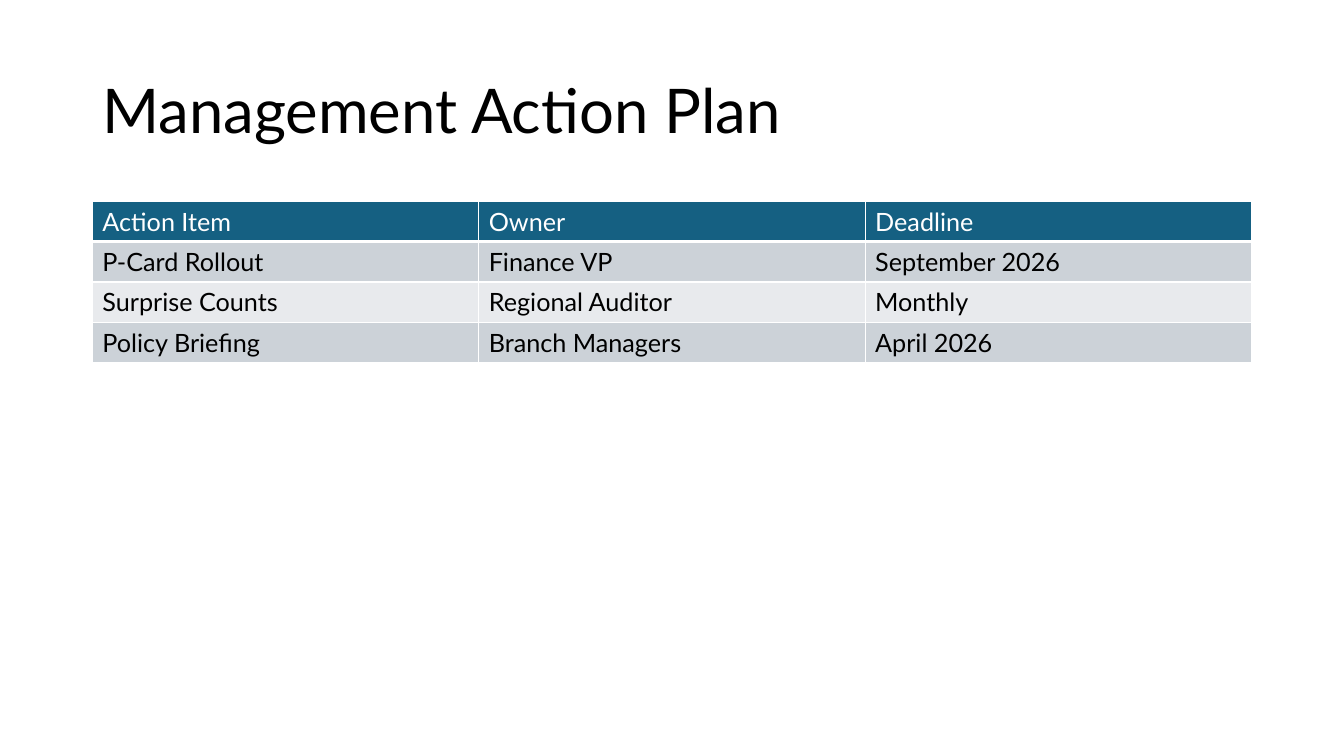
from lxml import etree
from pptx import Presentation
from pptx.dml.color import RGBColor
from pptx.enum import text
from pptx.oxml import ns
from pptx.util import Pt

ACTIONS = [
    ["Action Item", "Owner", "Deadline"],
    ["P-Card Rollout", "Finance VP", "September 2026"],
    ["Surprise Counts", "Regional Auditor", "Monthly"],
    ["Policy Briefing", "Branch Managers", "April 2026"],
]


def colour(code):
    return RGBColor.from_string(code)


class ActionPlanPage:
    font = "Lato"
    ink = "000000"
    paper = "FFFFFF"
    header_fill = "156082"
    band_fills = ("E8EAED", "CCD2D8")

    def __init__(self, deck):
        self.page = deck.slides.add_slide(deck.slide_layouts[6])

    def style(self, para, size, code):
        for span in para.runs:
            span.font.name = self.font
            span.font.size = Pt(size)
            span.font.color.rgb = colour(code)

    def title(self, words, left, top, width, height):
        box = self.page.shapes.add_textbox(Pt(left), Pt(top), Pt(width), Pt(height))
        frame = box.text_frame
        frame.word_wrap = True
        frame.vertical_anchor = text.MSO_ANCHOR.MIDDLE
        frame.text = words
        para = frame.paragraphs[0]
        para.line_spacing = 0.9
        self.style(para, 44, self.ink)

    def border(self, cell, side, width):
        properties = cell._tc.get_or_add_tcPr()
        line = etree.SubElement(properties, ns.qn(f"a:ln{side}"), w=str(Pt(width)))
        fill = etree.SubElement(line, ns.qn("a:solidFill"))
        etree.SubElement(fill, ns.qn("a:srgbClr"), val=self.paper)

    def table(self, rows, left, top, width, row_height):
        table = self.page.shapes.add_table(
            len(rows), len(rows[0]), Pt(left), Pt(top), Pt(width), Pt(row_height * len(rows))
        ).table
        table.first_row = False
        table.horz_banding = False
        for row, words in enumerate(rows):
            for column, label in enumerate(words):
                cell = table.cell(row, column)
                header = row == 0
                for side in "LRTB":
                    self.border(cell, side, 3 if header and side == "B" else 1)
                cell.fill.solid()
                cell.fill.fore_color.rgb = colour(self.header_fill if header else self.band_fills[row % 2])
                cell.text_frame.text = label
                self.style(cell.text_frame.paragraphs[0], 18, self.paper if header else self.ink)


def main():
    deck = Presentation()
    deck.slide_width = Pt(960)
    deck.slide_height = Pt(540)
    plan = ActionPlanPage(deck)
    plan.title("Management Action Plan", 66, 28.75, 828, 104.4)
    plan.table(ACTIONS, 66, 143.75, 828, 28.75)
    deck.save("out.pptx")


if __name__ == "__main__":
    main()
